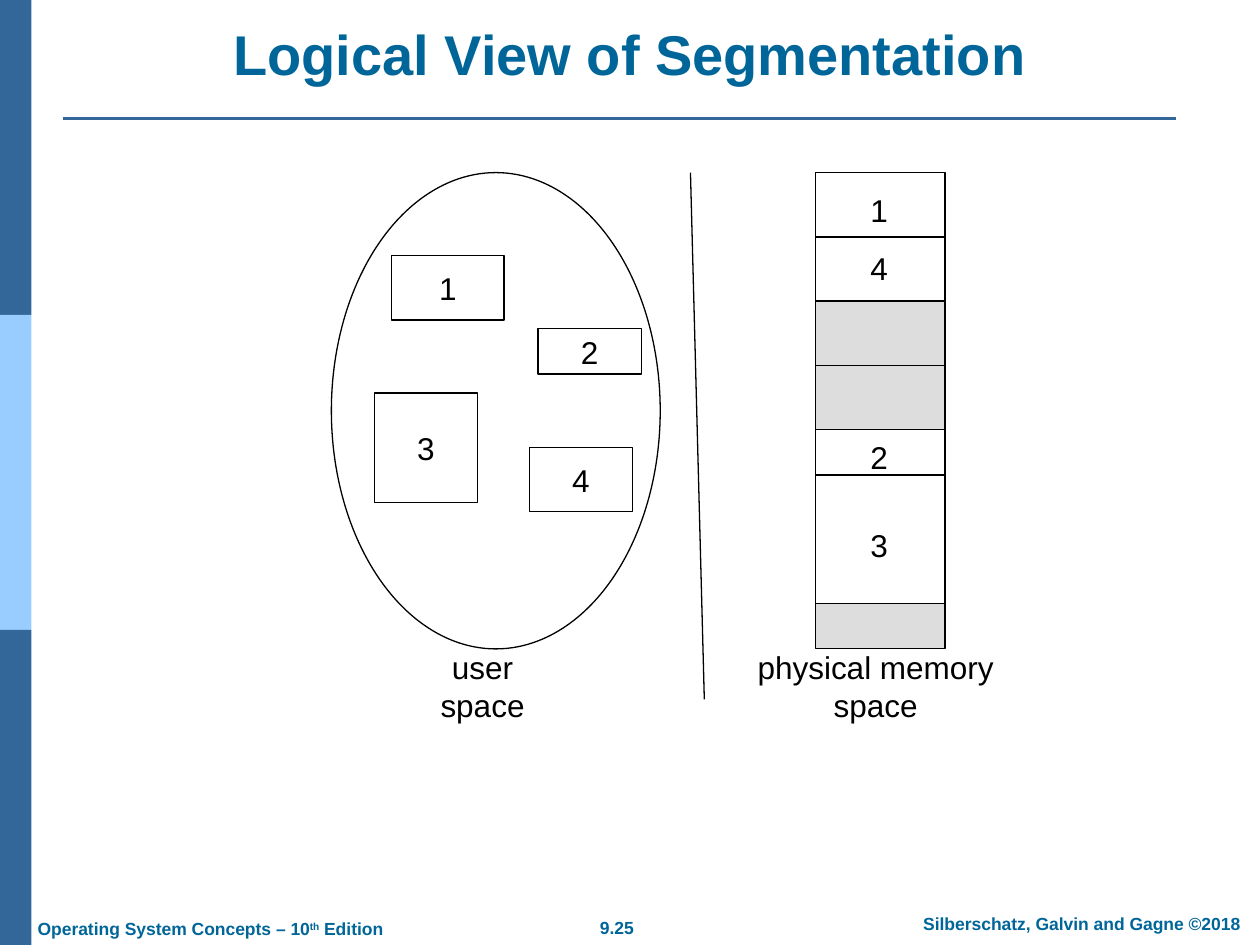
from pptx import Presentation
from pptx.dml.color import RGBColor
from pptx.enum.shapes import MSO_CONNECTOR, MSO_SHAPE
from pptx.enum.text import MSO_ANCHOR, PP_ALIGN
from pptx.oxml.ns import qn
from pptx.util import Inches, Pt
from lxml.etree import SubElement

BLACK = RGBColor(0x00, 0x00, 0x00)
WHITE = RGBColor(0xFF, 0xFF, 0xFF)
GRAY = RGBColor(0xDD, 0xDD, 0xDD)
NAVY = RGBColor(0x33, 0x66, 0x99)
SKY = RGBColor(0x99, 0xCC, 0xFF)
TEAL = RGBColor(0x00, 0x66, 0x99)


class Page:
    font = "Arial"
    thin = 0.75

    def __init__(self, deck):
        self.slide = deck.slides.add_slide(deck.slide_layouts[5])

    def style(self, para, size, color, bold=False, align=PP_ALIGN.CENTER):
        para.alignment = align
        for run in para.runs:
            run.font.name = self.font
            run.font.size = Pt(size)
            run.font.bold = bold
            run.font.color.rgb = color

    def title(self, text, *box):
        title = self.slide.shapes.title
        title.left, title.top, title.width, title.height = map(Inches, box)
        title.text_frame.text = text
        title.text_frame.vertical_anchor = MSO_ANCHOR.BOTTOM
        self.style(title.text_frame.paragraphs[0], 32, TEAL, True)

    def shape(self, kind, box, fill, edge=BLACK, text=""):
        shape = self.slide.shapes.add_shape(kind, *map(Inches, box))
        shape.shadow.inherit = False
        shape.fill.solid()
        shape.fill.fore_color.rgb = fill
        if edge is None:
            shape.line.fill.background()
        else:
            shape.line.color.rgb = edge
            shape.line.width = Pt(self.thin)
        if text:
            frame = shape.text_frame
            frame.text = text
            frame.word_wrap = False
            frame.vertical_anchor = MSO_ANCHOR.MIDDLE
            self.style(frame.paragraphs[0], 18, BLACK)
        return shape

    def rect(self, box, fill, edge=BLACK, text=""):
        return self.shape(MSO_SHAPE.RECTANGLE, box, fill, edge, text)

    def line(self, start, end, color=BLACK, width=thin):
        line = self.slide.shapes.add_connector(
            MSO_CONNECTOR.STRAIGHT, *map(Inches, start + end))
        line.line.color.rgb = color
        line.line.width = Pt(width)
        SubElement(line._element.spPr, qn("a:effectLst"))
        return line

    def label(self, text, box, wrap=False):
        frame = self.slide.shapes.add_textbox(*map(Inches, box)).text_frame
        frame.text = text
        frame.word_wrap = wrap
        frame.vertical_anchor = MSO_ANCHOR.MIDDLE
        self.style(frame.paragraphs[0], 18, BLACK)

    def footer(self, parts, box, align=PP_ALIGN.CENTER):
        frame = self.slide.shapes.add_textbox(*map(Inches, box)).text_frame
        frame.word_wrap = False
        para = frame.paragraphs[0]
        for text, raised in parts:
            run = para.add_run()
            run.text = text
            if raised:
                run.font._element.set("baseline", "30000")
        self.style(para, 10, TEAL, True, align)


def main():
    deck = Presentation()
    deck.slide_width, deck.slide_height = Inches(10), Inches(7.5)
    page = Page(deck)

    for row, fill in enumerate((NAVY, SKY, NAVY)):
        page.rect((0, 2.5 * row, 0.25, 2.5), fill, None)
    page.line((0.5, 0.94), (9.33, 0.94), NAVY, 1.5)
    page.title("Logical View of Segmentation", 0.5, 0.11, 9, 0.63)

    page.footer([("9.25", False)], (4.65, 7.23, 0.49, 0.27))
    page.footer([("Silberschatz, Galvin and Gagne ©2018", False)],
                (7.1, 7.2, 2.97, 0.27))
    page.footer([("Operating System Concepts – 10", False), ("th", True),
                 (" Edition", False)], (0.2, 7.24, 2.99, 0.27), PP_ALIGN.LEFT)

    page.shape(MSO_SHAPE.OVAL, (2.63, 1.37, 2.61, 3.78), WHITE)
    parts = {
        "1": (3.11, 2.03, 0.89, 0.51),
        "3": (2.97, 3.12, 0.82, 0.87),
        "2": (4.27, 2.61, 0.82, 0.36),
        "4": (4.2, 3.55, 0.82, 0.51),
    }
    for text, box in parts.items():
        page.rect(box, WHITE, text=text)

    left, wide, top = 6.47, 1.03, 1.37
    blocks = [(1.02, WHITE, 0.51), (1.02, GRAY, 0.51),
              (1.38, WHITE, 0.36), (0.36, GRAY, None)]
    for high, fill, split in blocks:
        block = page.rect((left, top, wide, high), fill)
        if split:
            cut = top + split
            line = page.line((left, cut), (left + wide, cut))
            if split * 2 == high:
                line.begin_connect(block, 1)
                line.end_connect(block, 3)
        top += high
    for text, y in (("1", 1.49), ("4", 1.95), ("2", 3.45), ("3", 4.15)):
        page.label(text, (6.81, y, 0.28, 0.35))

    page.label("user space", (3.21, 5.27, 1.24, 0.35), True)
    page.label("physical memory space", (5.78, 5.27, 2.34, 0.35), True)
    page.line((5.48, 1.37), (5.59, 5.55))

    deck.save("out.pptx")


if __name__ == "__main__":
    main()
